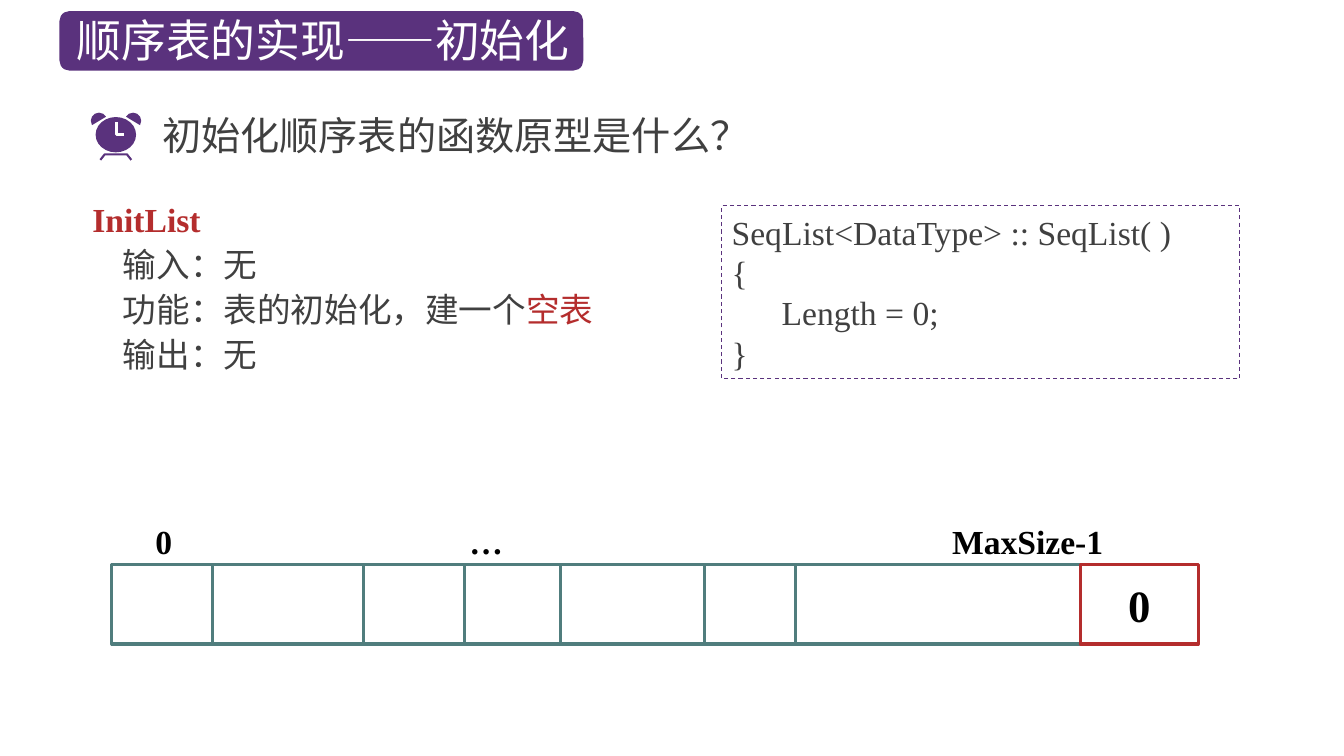
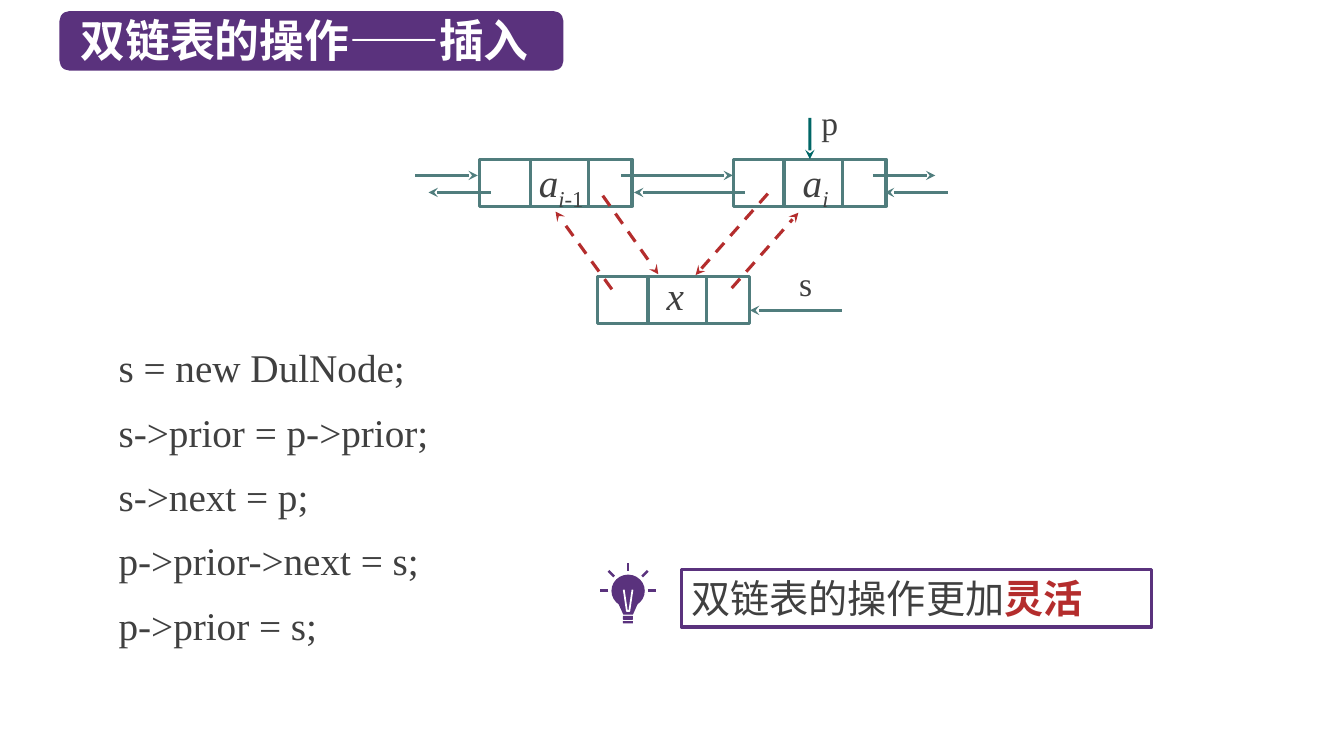
from dataclasses import dataclass
from itertools import accumulate
from math import cos, radians, sin

from lxml import etree
from pptx import Presentation
from pptx.dml.color import RGBColor
from pptx.enum.dml import MSO_LINE
from pptx.enum.shapes import MSO_CONNECTOR, MSO_SHAPE
from pptx.enum.text import MSO_ANCHOR, MSO_AUTO_SIZE, PP_ALIGN
from pptx.oxml.ns import qn
from pptx.util import Cm, Pt

RECT, ROUND, OVAL, CHORD = (MSO_SHAPE.RECTANGLE, MSO_SHAPE.ROUNDED_RECTANGLE,
                            MSO_SHAPE.OVAL, MSO_SHAPE.CHORD)
STRAIGHT, DASH = MSO_CONNECTOR.STRAIGHT, MSO_LINE.DASH
LEFT, CENTER = PP_ALIGN.LEFT, PP_ALIGN.CENTER
TOP, MIDDLE = MSO_ANCHOR.TOP, MSO_ANCHOR.MIDDLE

PURPLE, RED, TEAL, DARK_TEAL = "5A327D", "B42D2D", "507D7D", "006666"
GREY, BLACK, WHITE = "404040", "000000", "FFFFFF"
SANS, SERIF = "Noto Sans CJK SC", "Times New Roman"

NODE_W, NODE_H = 3.84, 1.19
NODE_DIVIDERS = (1.27, 2.74)


@dataclass
class Run:
    text: str
    color: str = GREY
    font: str = SERIF
    bold: bool = False
    italic: bool = False
    baseline: int = 0


@dataclass
class Para:
    runs: list[Run]
    indent: float = 0


@dataclass
class Node:
    x: float
    y: float
    runs: list[Run]
    indent: float = 1.74


@dataclass
class Arrow:
    x1: float
    y1: float
    x2: float
    y2: float
    color: str = TEAL
    dash: bool = False


def rgb(value: str) -> RGBColor:
    return RGBColor.from_string(value)


def write(sp, paras: list[Para], *, size: float, align=LEFT, anchor=MIDDLE,
          spacing=None, inset: bool = True, tabs: tuple = ()) -> None:
    """Fill a shape with formatted paragraphs."""
    tf = sp.text_frame
    tf.word_wrap, tf.auto_size, tf.vertical_anchor = True, MSO_AUTO_SIZE.NONE, anchor
    tf.margin_left = tf.margin_right = Cm(0.25 if inset else 0)
    tf.margin_top = tf.margin_bottom = Cm(0.13 if inset else 0)
    for i, para in enumerate(paras):
        p = tf.add_paragraph() if i else tf.paragraphs[0]
        p.alignment, p.line_spacing = align, spacing
        ppr = p._p.get_or_add_pPr()
        if para.indent:
            ppr.set("marL", str(Cm(para.indent)))
            ppr.set("indent", "0")
        if tabs:
            stops = etree.SubElement(ppr, qn("a:tabLst"))
            for pos in tabs:
                etree.SubElement(stops, qn("a:tab"), pos=str(Cm(pos)), algn="ctr")
        for item in para.runs:
            r = p.add_run()
            r.text = item.text
            f = r.font
            f.size, f.name, f.bold, f.italic = Pt(size), item.font, item.bold, item.italic
            f.color.rgb = rgb(item.color)
            rpr = r._r.get_or_add_rPr()
            etree.SubElement(rpr, qn("a:ea"), typeface=item.font)
            if item.baseline:
                rpr.set("baseline", str(item.baseline * 1000))


def paint(sp, fill: str | None, line: str | None, width: float = 2.25) -> None:
    sp.shadow.inherit = False
    if fill:
        sp.fill.solid()
        sp.fill.fore_color.rgb = rgb(fill)
    else:
        sp.fill.background()
    if line:
        sp.line.color.rgb = rgb(line)
        sp.line.width = Pt(width)
    else:
        sp.line.fill.background()


def add_box(s, x: float, y: float, w: float, h: float, *, kind=RECT,
            fill: str | None = None, line: str | None = None, width: float = 2.25):
    sp = s.shapes.add_shape(kind, Cm(x), Cm(y), Cm(w), Cm(h))
    paint(sp, fill, line, width)
    return sp


def add_text(s, x: float, y: float, w: float, h: float, paras: list[Para], **fmt) -> None:
    write(s.shapes.add_textbox(Cm(x), Cm(y), Cm(w), Cm(h)), paras, **fmt)


def add_line(s, x1: float, y1: float, x2: float, y2: float, *, color: str = TEAL,
             width: float = 2.25, dash: bool = False, arrow: bool = False):
    c = s.shapes.add_connector(STRAIGHT, Cm(x1), Cm(y1), Cm(x2), Cm(y2))
    c.line.color.rgb = rgb(color)
    c.line.width = Pt(width)
    if dash:
        c.line.dash_style = DASH
    if arrow:
        etree.SubElement(c.line._get_or_add_ln(), qn("a:tailEnd"), type="stealth")
    etree.SubElement(c._element.spPr, qn("a:effectLst"))
    return c


def add_outline(s, points: list[tuple[float, float]], *, fill: str | None = None,
                line: str | None = None, width: float = 1.5) -> None:
    """Draw a closed outline when filled, otherwise an open polyline."""
    (x, y), *rest = [(Cm(px), Cm(py)) for px, py in points]
    builder = s.shapes.build_freeform(x, y)
    builder.add_line_segments(rest, close=fill is not None)
    paint(builder.convert_to_shape(), fill, line, width)


def add_titled_slide(prs, title: str, band_w: float, title_x: float, bold: bool):
    """Title-only slide with its title on a purple band."""
    s = prs.slides.add_slide(prs.slide_layouts[5])
    sp = s.shapes.title
    sp.left, sp.top, sp.width, sp.height = Cm(title_x), Cm(0.18), Cm(band_w), Cm(1.63)
    write(sp, [Para([Run(title, WHITE, SANS, bold)])], size=32)
    band = add_box(s, 1.5, 0.28, band_w, 1.5, kind=ROUND, fill=PURPLE)
    sp.element.addprevious(band.element)
    return s


def add_clock(s) -> None:
    for x, start, end in ((2.29, 148, 330), (3.15, 210, 32)):
        ear = add_box(s, x, 2.84, 0.41, 0.41, kind=CHORD, fill=PURPLE)
        ear.adjustments[0], ear.adjustments[1] = start * 0.6, end * 0.6
    add_box(s, 2.41, 2.95, 1.02, 0.89, kind=OVAL, fill=PURPLE)
    add_outline(s, [(2.93, 3.07), (2.93, 3.39), (3.13, 3.39)], line=WHITE, width=2.25)
    add_outline(s, [(2.53, 4.03), (2.64, 3.89), (3.2, 3.89), (3.31, 4.03)], line=PURPLE)


def add_bulb(s) -> None:
    cx, cy = 15.83, 14.88
    for angle in range(180, 361, 45):
        dx, dy = cos(radians(angle)), sin(radians(angle))
        add_line(s, cx + 0.5 * dx, cy + 0.5 * dy, cx + 0.7 * dx, cy + 0.7 * dy,
                 color=PURPLE, width=1.75)
    add_box(s, 15.41, 14.48, 0.84, 0.82, kind=OVAL, fill=PURPLE)
    add_outline(s, [(15.58, 15.2), (16.08, 15.2), (15.95, 15.49), (15.71, 15.49)], fill=PURPLE)
    add_outline(s, [(15.72, 14.86), (15.8, 15.4), (15.86, 15.4), (15.94, 14.86)],
                line=WHITE, width=1.25)
    for y, h in ((15.52, 0.1), (15.65, 0.06)):
        add_box(s, 15.7, y, 0.25, h, kind=ROUND, fill=PURPLE)


def add_node(s, node: Node):
    sp = add_box(s, node.x, node.y, NODE_W, NODE_H, line=TEAL)
    write(sp, [Para(node.runs, node.indent)], size=28, anchor=TOP, spacing=0.9, inset=False)
    for dx in NODE_DIVIDERS:
        add_line(s, node.x + dx, node.y, node.x + dx, node.y + NODE_H)
    return sp


def build_init_slide(prs) -> None:
    s = add_titled_slide(prs, "顺序表的实现——初始化", 13.2, 1.68, False)

    # Question
    add_text(s, 3.84, 2.67, 15.2, 1.45,
             [Para([Run("初始化顺序表的函数原型是什么？", font=SANS)])], size=28)
    add_clock(s)

    # Operation description
    add_text(s, 2.08, 4.75, 16.94, 4.83, [
        Para([Run("InitList", RED, bold=True)]),
        Para([Run("输入：无", font=SANS)], 0.77),
        Para([Run("功能：表的初始化，建一个", font=SANS), Run("空表", RED, SANS)], 0.77),
        Para([Run("输出：无", font=SANS)], 0.77),
    ], size=24, spacing=Pt(32))

    # Storage array with its index labels
    add_text(s, 3.02, 13, 27.84, 1.27,
             [Para([Run("\t0\t…\tMaxSize-1", BLACK, bold=True)])],
             size=24, tabs=(0.86, 8.98, 22.63))
    x, y, h = 2.82, 14.22, 2.01
    *dividers, total = accumulate((2.54, 3.81, 2.54, 2.41, 3.63, 2.29, 7.19))
    add_box(s, x, y, total, h, line=TEAL)
    for dx in dividers:
        add_line(s, x + dx, y, x + dx, y + h)
    length = add_box(s, x + total, y, 2.97, h, line=RED)
    write(length, [Para([Run("0", BLACK, bold=True)])], size=32, align=CENTER)

    # Constructor code
    code = add_box(s, 18.19, 5.18, 13.06, 4.37, line=PURPLE, width=0.75)
    code.line.dash_style = DASH
    write(code, [
        Para([Run("SeqList<DataType> :: SeqList( )")]),
        Para([Run("{")]),
        Para([Run("Length = 0;")], 1.26),
        Para([Run("}")]),
    ], size=24)


def build_insert_slide(prs) -> None:
    s = add_titled_slide(prs, "双链表的操作——插入", 12.7, 1.78, True)

    # List nodes
    add_node(s, Node(12.09, 4.01, [Run("a", italic=True),
                                   Run("i", italic=True, baseline=-25),
                                   Run("-1", baseline=-25)], 1.49))
    current = add_node(s, Node(18.49, 4.01, [Run("a", italic=True),
                                             Run("i", italic=True, baseline=-25)]))
    add_node(s, Node(15.06, 6.96, [Run("x", italic=True)]))

    # Links between nodes
    forward, back = 4.42, 4.85
    for a in (
        Arrow(10.46, forward, 12.04, forward),
        Arrow(15.65, forward, 18.47, forward),
        Arrow(22, forward, 23.57, forward),
        Arrow(12.37, back, 10.8, back),
        Arrow(18.77, back, 15.98, back),
        Arrow(23.88, back, 22.3, back),
        Arrow(21.21, 7.82, 18.9, 7.82),
        Arrow(15.42, 7.29, 14, 5.33, RED, True),
        Arrow(18.44, 7.26, 20.12, 5.36, RED, True),
        Arrow(19.35, 4.88, 17.53, 6.93, RED, True),
        Arrow(15.19, 4.93, 16.59, 6.91, RED, True),
    ):
        add_line(s, a.x1, a.y1, a.x2, a.y2, color=a.color, dash=a.dash, arrow=True)

    # Pointers
    pointer = add_line(s, 20.41, 2.97, 20.41, 4.01, color=DARK_TEAL, arrow=True)
    pointer.end_connect(current, 0)
    for name, x, y in (("p", 20.7, 2.57), ("s", 20.14, 6.63)):
        add_text(s, x, y, 0.69, 1.02, [Para([Run(name)])], size=24, inset=False)

    # Insertion steps
    steps = ("s = new DulNode;", "s->prior = p->prior;", "s->next = p;",
             "p->prior->next = s;", "p->prior = s;")
    for i, step in enumerate(steps):
        add_text(s, 2.74, 8.53 + 1.62 * i, 10.5, 1.45, [Para([Run(step)])], size=28)

    # Conclusion
    note = add_box(s, 17.17, 14.35, 11.86, 1.45, line=PURPLE)
    write(note, [Para([Run("双链表的操作更加", font=SANS),
                       Run("灵活", RED, SANS, True)])], size=28)
    add_bulb(s)


def main() -> None:
    prs = Presentation()
    prs.slide_width, prs.slide_height = Cm(33.87), Cm(19.05)
    build_init_slide(prs)
    build_insert_slide(prs)
    prs.save("out.pptx")


if __name__ == "__main__":
    main()
